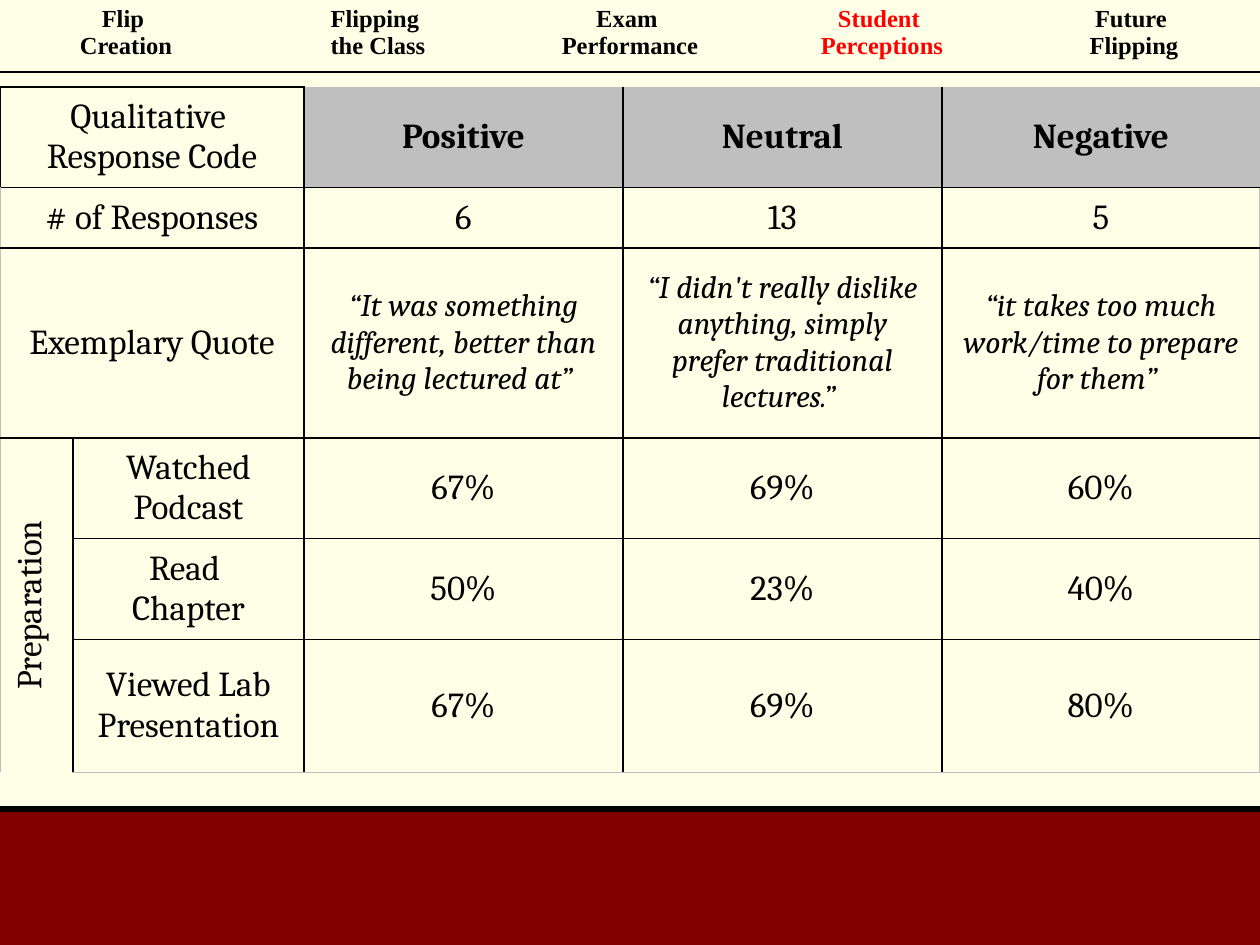
"""Build the student perceptions slide with its navigation strip and results table."""
from dataclasses import dataclass
from typing import NamedTuple, Optional

from lxml.etree import SubElement
from pptx import Presentation
from pptx.dml.color import RGBColor
from pptx.enum.shapes import MSO_CONNECTOR as Connector, MSO_SHAPE as Shape
from pptx.enum.text import MSO_ANCHOR as Anchor, PP_ALIGN as Align
from pptx.oxml.ns import qn
from pptx.util import Pt

SCALE = 914400 / 126
WIDTH, HEIGHT = 1260, 945
FOOTER_TOP = 809
NO_STYLE = "{2D5ABB26-0587-4C30-8999-92F81FD0307C}"
COLORS = {
    "cream": "FFFFE7", "maroon": "800000", "ink": "000000",
    "current": "FF0000", "heading": "BFBFBF", "frame": "BFBFBF",
}


@dataclass
class Entry:
    text: str
    size: int = 20
    font: str = "Cambria"
    color: str = "ink"
    bold: bool = False
    italic: bool = False
    fill: Optional[str] = None
    anchor: Anchor = Anchor.MIDDLE
    margins: tuple[int, int] = (19, 10)
    vertical: bool = False


class Span(NamedTuple):
    top: int
    left: int
    bottom: int
    right: int

    def holds(self, row: int, column: int) -> bool:
        return self.top <= row <= self.bottom and self.left <= column <= self.right


def px(length: int) -> int:
    return round(length * SCALE)


def rgb(name: str) -> RGBColor:
    return RGBColor.from_string(COLORS[name])


def add_grid(slide, top: int, columns: list[int], rows: list[int]):
    frame = slide.shapes.add_table(
        len(rows), len(columns), 0, px(top), px(sum(columns)), px(sum(rows)))
    table = frame.table
    table.first_row = table.horz_banding = False
    table._tbl.tblPr.find(qn("a:tableStyleId")).text = NO_STYLE
    for column, width in zip(table.columns, columns):
        column.width = px(width)
    for row, height in zip(table.rows, rows):
        row.height = px(height)
    return table


def add_border(cell, side: str, color: str, width: float) -> None:
    line = SubElement(cell._tc.get_or_add_tcPr(), qn(f"a:ln{side}"), w=str(Pt(width)))
    solid = SubElement(line, qn("a:solidFill"))
    SubElement(solid, qn("a:srgbClr"), val=COLORS[color])


def write_cell(cell, entry: Entry) -> None:
    cell.vertical_anchor = entry.anchor
    cell.margin_left = cell.margin_right = px(entry.margins[0])
    cell.margin_top = cell.margin_bottom = px(entry.margins[1])
    if entry.vertical:
        cell._tc.get_or_add_tcPr().set("vert", "vert270")
    if entry.fill:
        cell.fill.solid()
        cell.fill.fore_color.rgb = rgb(entry.fill)
    else:
        cell.fill.background()
    cell.text_frame.text = entry.text
    for paragraph in cell.text_frame.paragraphs:
        paragraph.alignment = Align.CENTER
        for run in paragraph.runs:
            run.font.name = entry.font
            run.font.size = Pt(entry.size)
            run.font.bold = entry.bold
            run.font.italic = entry.italic
            run.font.color.rgb = rgb(entry.color)


def draw_footer(slide) -> None:
    band = slide.shapes.add_shape(
        Shape.RECTANGLE, 0, px(FOOTER_TOP), px(WIDTH), px(HEIGHT - FOOTER_TOP))
    band.shadow.inherit = False
    band.fill.solid()
    band.fill.fore_color.rgb = band.line.color.rgb = rgb("maroon")
    band.line.width = Pt(2)
    rule = slide.shapes.add_connector(
        Connector.STRAIGHT, 0, px(FOOTER_TOP), px(WIDTH), px(FOOTER_TOP))
    rule.line.color.rgb = rgb("ink")
    rule.line.width = Pt(3)
    SubElement(rule._element.spPr, qn("a:effectLst"))


def draw_navigation(slide) -> None:
    sections = ["Flip \nCreation", "Flipping \nthe Class", "Exam \nPerformance",
                "Student \nPerceptions", "Future \nFlipping"]
    current = 3
    table = add_grid(slide, 0, [WIDTH // len(sections)] * len(sections), [72])
    for index, section in enumerate(sections):
        cell = table.cell(0, index)
        add_border(cell, "B", "ink", 1)
        write_cell(cell, Entry(
            section, 14, "Times New Roman", "current" if index == current else "ink",
            bold=True, anchor=Anchor.TOP, margins=(13, 6)))


def draw_results(slide) -> None:
    columns, rows = [73, 231, 319, 319, 318], [96, 57, 190, 96, 96, 133]
    spans = [Span(0, 0, 0, 1), Span(1, 0, 1, 1), Span(2, 0, 2, 1), Span(3, 0, 5, 0)]
    headings = ["Positive", "Neutral", "Negative"]
    quotes = ["“It was something different, better than being lectured at” ",
              "“I didn't really dislike anything, simply prefer traditional lectures.” ",
              "“it takes too much work/time to prepare for them” "]
    preparation = [("Watched Podcast", "67%", "69%", "60%"),
                   ("Read \nChapter", "50%", "23%", "40%"),
                   ("Viewed Lab Presentation", "67%", "69%", "80%")]
    content = [
        [Entry("Qualitative \nResponse Code"), None,
         *(Entry(text, bold=True, fill="heading") for text in headings)],
        [Entry("# of Responses"), None, *map(Entry, ("6", "13", "5"))],
        [Entry("Exemplary Quote"), None,
         *(Entry(text, 18, italic=True) for text in quotes)],
        *([None, *map(Entry, line)] for line in preparation),
    ]
    content[3][0] = Entry("Preparation", vertical=True)

    table = add_grid(slide, 87, columns, rows)
    neighbours = {"L": (0, -1), "R": (0, 1), "T": (-1, 0), "B": (1, 0)}
    for row, entries in enumerate(content):
        for column, entry in enumerate(entries):
            cell = table.cell(row, column)
            for side, (down, across) in neighbours.items():
                beside = row + down, column + across
                if any(span.holds(row, column) and span.holds(*beside) for span in spans):
                    continue
                inside = 0 <= beside[0] < len(rows) and 0 <= beside[1] < len(columns)
                corner = row == 0 and column < 2
                if inside or corner:
                    add_border(cell, side, "ink", 1)
                else:
                    add_border(cell, side, "frame", 0.5)
            if entry:
                write_cell(cell, entry)
    for span in spans:
        table.cell(span.top, span.left).merge(table.cell(span.bottom, span.right))


def main() -> None:
    deck = Presentation()
    deck.slide_width, deck.slide_height = px(WIDTH), px(HEIGHT)
    slide = deck.slides.add_slide(deck.slide_layouts[6])
    slide.background.fill.solid()
    slide.background.fill.fore_color.rgb = rgb("cream")
    draw_footer(slide)
    draw_navigation(slide)
    draw_results(slide)
    deck.save("out.pptx")


if __name__ == "__main__":
    main()
